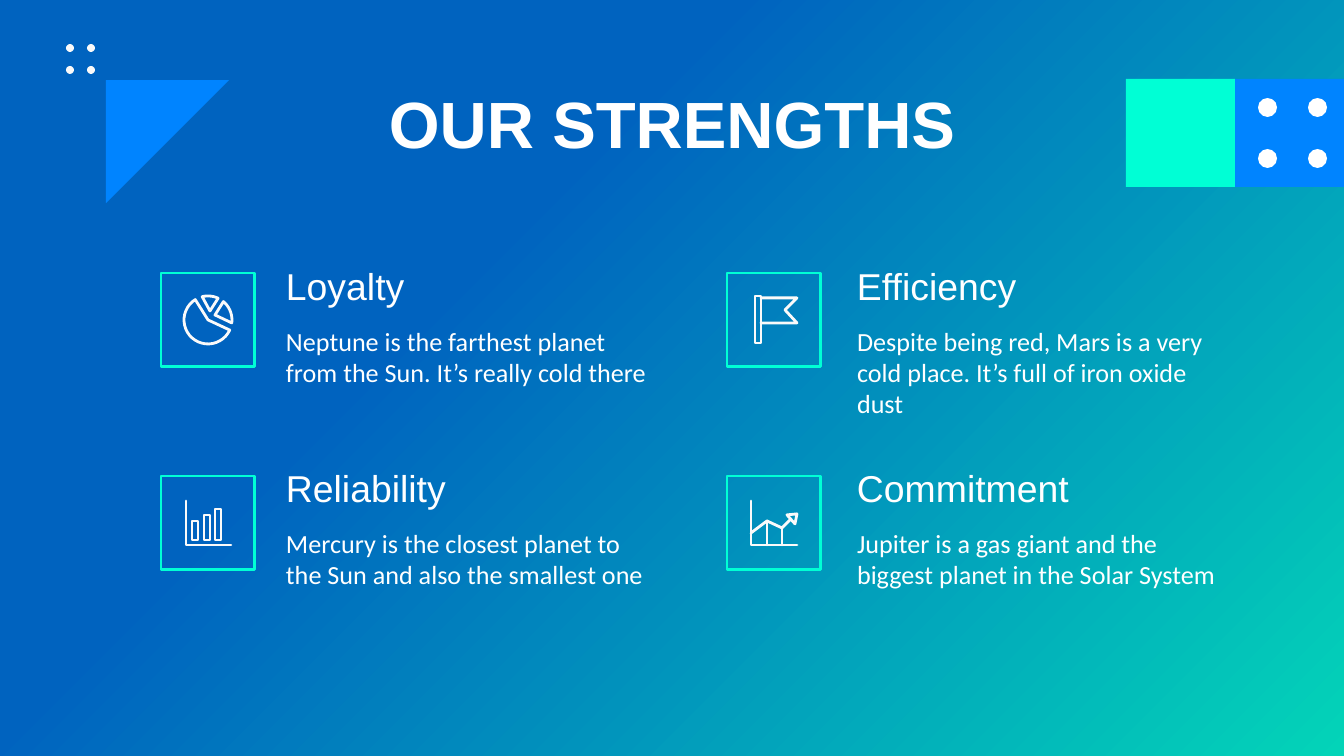
from math import cos, radians, sin

from lxml.etree import SubElement
from pptx import Presentation
from pptx.dml.color import RGBColor
from pptx.enum.shapes import MSO_SHAPE
from pptx.enum.text import MSO_ANCHOR, PP_ALIGN
from pptx.oxml.ns import qn
from pptx.util import Pt

PX = 914400 / 134.4
WIDTH, HEIGHT = 1344, 756

WHITE = RGBColor(0xFF, 0xFF, 0xFF)
OFF_WHITE = RGBColor(0xFA, 0xFA, 0xFA)
MINT = RGBColor(0x00, 0xFF, 0xD5)
BLUE = RGBColor(0x00, 0x84, 0xFF)
DEEP_BLUE = RGBColor(0x00, 0x63, 0xBF)
TEAL = RGBColor(0x03, 0xD4, 0xB8)


def emu(px):
    return round(px * PX)


def bar(left, top, right, bottom):
    """Closed contour of an upright bar."""
    return [(left, top), (right, top), (right, bottom), (left, bottom), (left, top)]


def wedge(apex, start, end, center=(208, 320), radius=24):
    """Closed contour from apex along an arc, angles in degrees clockwise."""
    steps = 24
    angles = [radians(start + (end - start) * i / steps) for i in range(steps + 1)]
    arc = [(center[0] + radius * cos(a), center[1] + radius * sin(a)) for a in angles]
    return [apex, *arc, apex]


# Each icon is a list of outlines, each outline a list of contours.
PIE_ICON = [
    [wedge((208, 320), 25, 238)],
    [wedge((215, 315), -50, 7)],
    [wedge((210, 311), -104, -65)],
]
BARS_ICON = [[bar(x, y, x + 6, 540)] for x, y in ((192, 521), (204, 515), (215, 509))]
BARS_ICON.append([[(186, 501), (186, 545), (231, 545)]])
FLAG_ICON = [[
    bar(755, 296, 761, 343),
    [(761, 298), (797, 298), (785, 310), (797, 323), (761, 323)],
]]
TREND_ICON = [[
    [(751, 501), (751, 545), (797, 545)],
    [(751, 533), (767, 521), (782, 528), (791, 519)],
    [(767, 521), (767, 545)],
    [(782, 528), (782, 545)],
    [(797, 514), (787, 515), (795, 524), (797, 514)],
]]

# Frame left, frame top, text left, text top, heading, body, icon
STRENGTHS = [
    (161, 273, 273, 247, "Loyalty",
     "Neptune is the farthest planet from the Sun. It’s really cold there", PIE_ICON),
    (727, 273, 844, 247, "Efficiency",
     "Despite being red, Mars is a very cold place. It’s full of iron oxide dust", FLAG_ICON),
    (161, 476, 273, 449, "Reliability",
     "Mercury is the closest planet to the Sun and also the smallest one", BARS_ICON),
    (727, 476, 844, 449, "Commitment",
     "Jupiter is a gas giant and the biggest planet in the Solar System", TREND_ICON),
]


class Deck:
    """Holds the style and the current slide."""

    heading_font, body_font = "Arial", "Calibri"
    stroke = Pt(1.5)

    def __init__(self):
        self.prs = Presentation()
        self.prs.slide_width, self.prs.slide_height = emu(WIDTH), emu(HEIGHT)
        self.s = self.prs.slides.add_slide(self.prs.slide_layouts[6])

    def background(self, start, end):
        fill = self.s.background.fill
        fill.gradient()
        fill.gradient_angle = 315
        for stop, position, color in zip(fill.gradient_stops, (0.35, 1), (start, end)):
            stop.position = position
            stop.color.rgb = color

    def paint(self, sp, fill=None, line=None):
        sp.shadow.inherit = False
        if fill is None:
            sp.fill.background()
        else:
            sp.fill.solid()
            sp.fill.fore_color.rgb = fill
        if line is None:
            sp.line.fill.background()
        else:
            sp.line.color.rgb = line
            sp.line.width = self.stroke
            ln = sp.line._get_or_add_ln()
            ln.set("cap", "rnd")
            SubElement(ln, qn("a:round"))

    def shape(self, kind, x, y, w, h, **colors):
        sp = self.s.shapes.add_shape(kind, emu(x), emu(y), emu(w), emu(h))
        self.paint(sp, **colors)

    def outline(self, contours, **colors):
        first, *others = [[(emu(x), emu(y)) for x, y in c] for c in contours]
        builder = self.s.shapes.build_freeform(*first[0])
        builder.add_line_segments(first[1:], close=False)
        for points in others:
            builder.move_to(*points[0])
            builder.add_line_segments(points[1:], close=False)
        self.paint(builder.convert_to_shape(), **colors)

    def dots(self, xs, ys, size, color):
        for x in xs:
            for y in ys:
                self.shape(MSO_SHAPE.OVAL, x, y, size, size, fill=color)

    def text(self, text, x, y, w, h, *, font, size, bold=False,
             align=PP_ALIGN.LEFT, anchor=MSO_ANCHOR.MIDDLE):
        tf = self.s.shapes.add_textbox(emu(x), emu(y), emu(w), emu(h)).text_frame
        tf.word_wrap = True
        tf.vertical_anchor = anchor
        tf.margin_left = tf.margin_right = tf.margin_top = tf.margin_bottom = emu(13)
        p = tf.paragraphs[0]
        p.alignment = align
        r = p.add_run()
        r.text = text
        r.font.name, r.font.size, r.font.bold = font, Pt(size), bold
        r.font.color.rgb = WHITE

    def strength(self, frame_x, frame_y, x, y, heading, body, icon):
        self.text(heading, x, y, 400, 78, font=self.heading_font, size=20)
        self.text(body, x, y + 65, 395, 114, font=self.body_font, size=14,
                  anchor=MSO_ANCHOR.TOP)
        self.shape(MSO_SHAPE.RECTANGLE, frame_x, frame_y, 94, 94, line=MINT)
        for contours in icon:
            self.outline(contours, line=OFF_WHITE)


def main():
    deck = Deck()
    deck.background(DEEP_BLUE, TEAL)
    for x, color in ((1235, BLUE), (1126, MINT)):
        deck.shape(MSO_SHAPE.RECTANGLE, x, 79, 109, 108, fill=color)
    deck.dots((1258, 1308), (98, 149), 19, WHITE)
    deck.outline([[(229, 80), (106, 203), (106, 80), (229, 80)]], fill=BLUE)
    deck.dots((66, 87), (44, 66), 8, OFF_WHITE)
    deck.text("OUR STRENGTHS", 106, 80, 1133, 84, font=deck.heading_font, size=35,
              bold=True, align=PP_ALIGN.CENTER)
    for item in STRENGTHS:
        deck.strength(*item)
    deck.prs.save("out.pptx")


if __name__ == "__main__":
    main()
